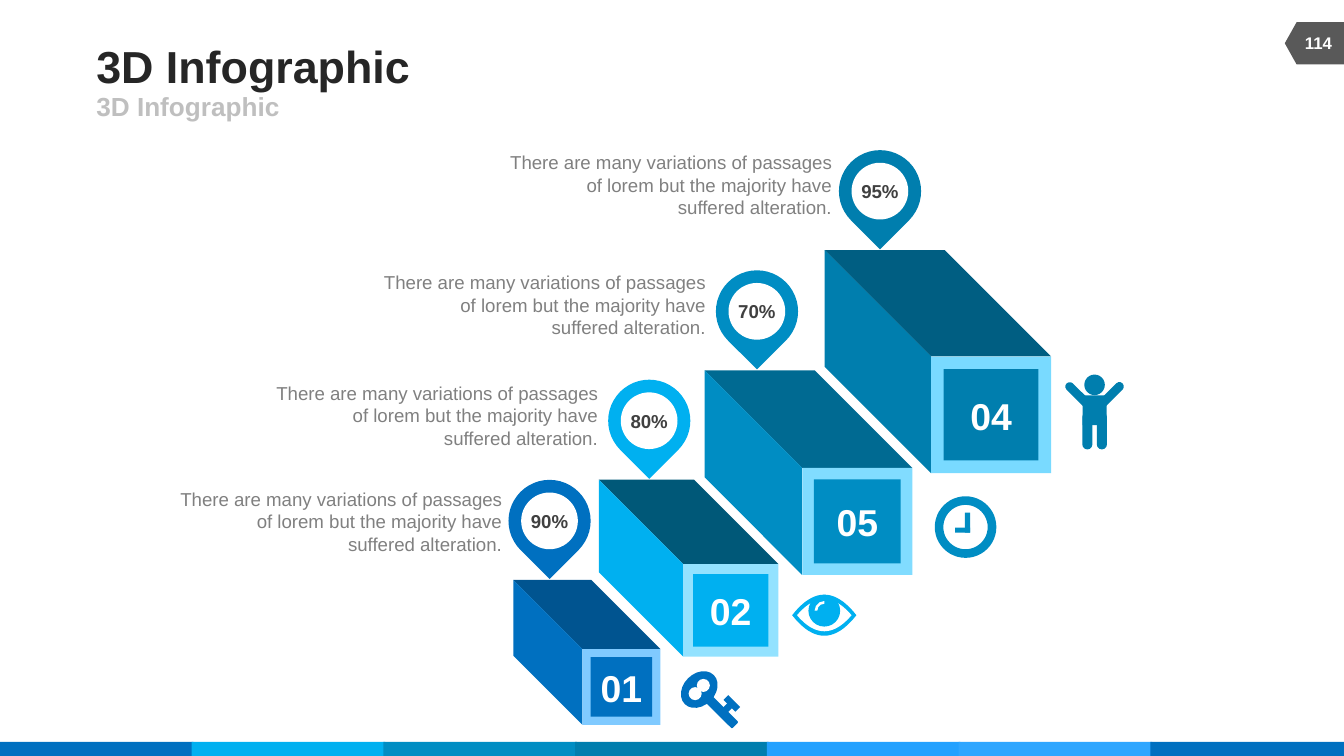
from dataclasses import dataclass

from lxml import etree
from pptx import Presentation
from pptx import util as u
from pptx.dml.color import RGBColor
from pptx.enum import shapes as sh, text as tx
from pptx.oxml.ns import qn


@dataclass(frozen=True)
class Theme:
    font: str = "Arial"
    title: str = "262626"
    subtitle: str = "BFBFBF"
    caption: str = "808080"
    percent: str = "404040"
    white: str = "FFFFFF"
    tag: str = "595959"
    band: tuple = ("0070C0", "00B0F0", "008DC3", "007EAE", "23A1FF", "2FA6FF", "0070C0")
    title_size: int = 24
    subtitle_size: int = 14
    number_size: int = 20
    body_size: int = 10
    tag_size: int = 9


THEME = Theme()
KIND = sh.MSO_SHAPE
CAPTION = "There are many variations of passages of lorem but the majority have\vsuffered alteration."
PIN_SIZE, HOLE_SIZE, PIN_RISE = 44, 30.4, 31.6


def apply(target, values):
    for name, value in values.items():
        setattr(target, name, value)


def paint(shape, color):
    shape.fill.solid()
    shape.fill.fore_color.rgb = RGBColor.from_string(color)
    shape.line.fill.background()
    shape.shadow.inherit = False


def add_preset(slide, kind, box, color, rotation=0):
    shape = slide.shapes.add_shape(kind, *map(u.Pt, box))
    shape.rotation = rotation
    paint(shape, color)
    return shape


def add_centred(slide, kind, x, y, width, height, color, rotation=0):
    return add_preset(slide, kind, (x - width / 2, y - height / 2, width, height), color, rotation)


def add_outline(slide, corners, color):
    start, *rest = [(u.Pt(x), u.Pt(y)) for x, y in corners]
    builder = slide.shapes.build_freeform(*start)
    builder.add_line_segments(rest)
    paint(builder.convert_to_shape(), color)


def write(shape, words, size, color, bold=True, align=tx.PP_ALIGN.CENTER,
          anchor=tx.MSO_ANCHOR.MIDDLE, wrap=True, spacing=None):
    frame = shape.text_frame
    apply(frame, {"margin_left": 0, "margin_top": 0, "margin_right": 0, "margin_bottom": 0,
                  "word_wrap": wrap, "auto_size": tx.MSO_AUTO_SIZE.NONE, "vertical_anchor": anchor})
    frame.text = words
    paragraph = frame.paragraphs[0]
    apply(paragraph, {"alignment": align, "line_spacing": spacing, "space_before": u.Pt(0)})
    for run in paragraph.runs:
        apply(run.font, {"name": THEME.font, "size": u.Pt(size), "bold": bold})
        run.font.color.rgb = RGBColor.from_string(color)
    return paragraph


def add_label(slide, box, words, size, color, **style):
    write(slide.shapes.add_textbox(*map(u.Pt, box)), words, size, color, **style)


def add_key(slide, x, y, color):
    add_centred(slide, KIND.OVAL, x, y, 22, 17, color, -45)
    for side in (-1, 1):
        add_centred(slide, KIND.OVAL, x + 2.2 * side, y - 2.2 * side, 7, 7, THEME.white)
    add_centred(slide, KIND.ROUNDED_RECTANGLE, x + 11.5, y + 11.5, 22, 5, color, 45)
    add_centred(slide, KIND.RECTANGLE, x + 15.5, y + 9.5, 6, 3.6, color, -45)
    add_centred(slide, KIND.RECTANGLE, x + 17.5, y + 7.5, 9, 3.6, color, 45)


def add_lens(slide, x, y, half_width, half_height, color):
    steps = [i / 10 for i in range(-10, 11)]
    upper = [(x + half_width * t, y - half_height * (1 - t * t)) for t in steps]
    lower = [(px, 2 * y - py) for px, py in reversed(upper)]
    add_outline(slide, upper + lower[1:-1], color)


def add_eye(slide, x, y, color):
    add_lens(slide, x, y, 17.2, 11, color)
    add_lens(slide, x, y, 14.6, 8.6, THEME.white)
    add_centred(slide, KIND.OVAL, x, y - 2.4, 17, 17, color)
    glint = add_centred(slide, KIND.BLOCK_ARC, x, y - 2.4, 10.4, 10.4, THEME.white)
    for index, value in enumerate((108, 162, 0.14)):
        glint.adjustments[index] = value


def add_clock(slide, x, y, color):
    dial = add_centred(slide, KIND.DONUT, x, y, 33, 33, color)
    dial.adjustments[0] = 0.14
    add_centred(slide, KIND.RECTANGLE, x + 1, y - 2.4, 2.8, 10.8, color)
    add_centred(slide, KIND.RECTANGLE, x - 1.6, y + 1.6, 8, 2.8, color)


def add_person(slide, x, y, color):
    add_centred(slide, KIND.OVAL, x, y - 14.6, 11, 11, color)
    add_centred(slide, KIND.RECTANGLE, x, y - 1, 13, 16, color)
    for side in (-1, 1):
        for dx, dy, width, height, turn in ((3.9, 10, 5.4, 20, 0), (8.6, -9, 4.8, 18, 45)):
            limb = add_centred(slide, KIND.ROUNDED_RECTANGLE, x + side * dx, y + dy,
                               width, height, color, side * turn)
            limb.adjustments[0] = 0.5


@dataclass(frozen=True)
class Step:
    number: str
    percent: str
    front: tuple
    pin_x: float
    caption: tuple
    fill: str
    top: str
    frame: str
    add_icon: object
    icon_at: tuple


STEPS = [
    Step("01", "90%", (312, 347.7, 41.8), 294.4, (91.8, 261.4), "0070C0", "005490", "80CAFF", add_key, (374.6, 369.4)),
    Step("02", "80%", (366, 302.2, 51), 347.8, (143.2, 204.5), "00B0F0", "005878", "93E2FF", add_eye, (441.6, 329.6)),
    Step("05", "70%", (429.8, 250.7, 59), 405.5, (200.9, 145.4), "008DC3", "006A92", "81DCFF", add_clock, (517.3, 282.4)),
    Step("04", "95%", (498.8, 191, 64.3), 471.4, (268.5, 81), "007EAE", "005E82", "79DAFF", add_person, (586.4, 220.8)),
]


def add_block(slide, step):
    x, y, width = step.front
    height, depth, inset = 0.972 * width, 0.886 * width, 0.105 * width
    back_x, back_y = x - depth, y - depth
    add_outline(slide, [(x, y), (back_x, back_y), (back_x + width, back_y), (x + width, y)], step.top)
    add_outline(slide, [(x, y), (back_x, back_y), (back_x, back_y + height), (x, y + height)], step.fill)
    centre = x + width / 2, y + height / 2
    add_centred(slide, KIND.RECTANGLE, *centre, width, height, step.frame)
    add_centred(slide, KIND.RECTANGLE, *centre, width - 2 * inset, height - 2 * inset, step.fill)
    add_label(slide, (centre[0] - 11.2, centre[1] - 12.2, 22.4, 24.4), step.number,
              THEME.number_size, THEME.white, anchor=tx.MSO_ANCHOR.BOTTOM, wrap=False)
    return back_y


def add_pin(slide, step, y):
    add_centred(slide, KIND.TEAR, step.pin_x, y, PIN_SIZE, PIN_SIZE, step.fill, 135)
    hole = add_centred(slide, KIND.OVAL, step.pin_x, y, HOLE_SIZE, HOLE_SIZE, THEME.white)
    write(hole, step.percent, THEME.body_size, THEME.percent, wrap=False)


def add_step(slide, step):
    back_y = add_block(slide, step)
    add_pin(slide, step, back_y - PIN_RISE)
    add_label(slide, (*step.caption, 177, 36), CAPTION, THEME.body_size, THEME.caption, bold=False,
              align=tx.PP_ALIGN.RIGHT, anchor=tx.MSO_ANCHOR.TOP, spacing=u.Pt(12))
    step.add_icon(slide, *step.icon_at, step.fill)


def add_heading(placeholder, top, width, height, size, color):
    apply(placeholder, {"left": u.Pt(51.6), "top": u.Pt(top), "width": u.Pt(width), "height": u.Pt(height)})
    return write(placeholder, "3D Infographic", size, color, align=tx.PP_ALIGN.LEFT)


def add_headings(slide):
    add_heading(slide.shapes.title, 21, 444, 28, THEME.title_size, THEME.title)
    line = add_heading(slide.placeholders[1], 49, 324, 16, THEME.subtitle_size, THEME.subtitle)
    properties = line._p.get_or_add_pPr()
    for name in ("marL", "indent"):
        properties.set(name, "0")
    etree.SubElement(properties, qn("a:buNone"))


def add_band(slide):
    width = 103.68
    pitch = (720 - width) / (len(THEME.band) - 1)
    for index, color in enumerate(THEME.band):
        add_preset(slide, KIND.RECTANGLE, (index * pitch, 397.5, width, 7.5), color)


def add_page_tag(slide):
    add_preset(slide, KIND.FLOWCHART_OFFPAGE_CONNECTOR, (692.8, 7.4, 22.6, 31.6), THEME.tag, 90)
    add_label(slide, (692.6, 12.2, 27.4, 21.6), "114", THEME.tag_size, THEME.white)


def main():
    deck = Presentation()
    apply(deck, {"slide_width": u.Pt(720), "slide_height": u.Pt(405)})
    slide = deck.slides.add_slide(deck.slide_layouts[1])
    add_band(slide)
    add_page_tag(slide)
    add_headings(slide)
    for step in STEPS:
        add_step(slide, step)
    deck.save("out.pptx")


if __name__ == "__main__":
    main()
